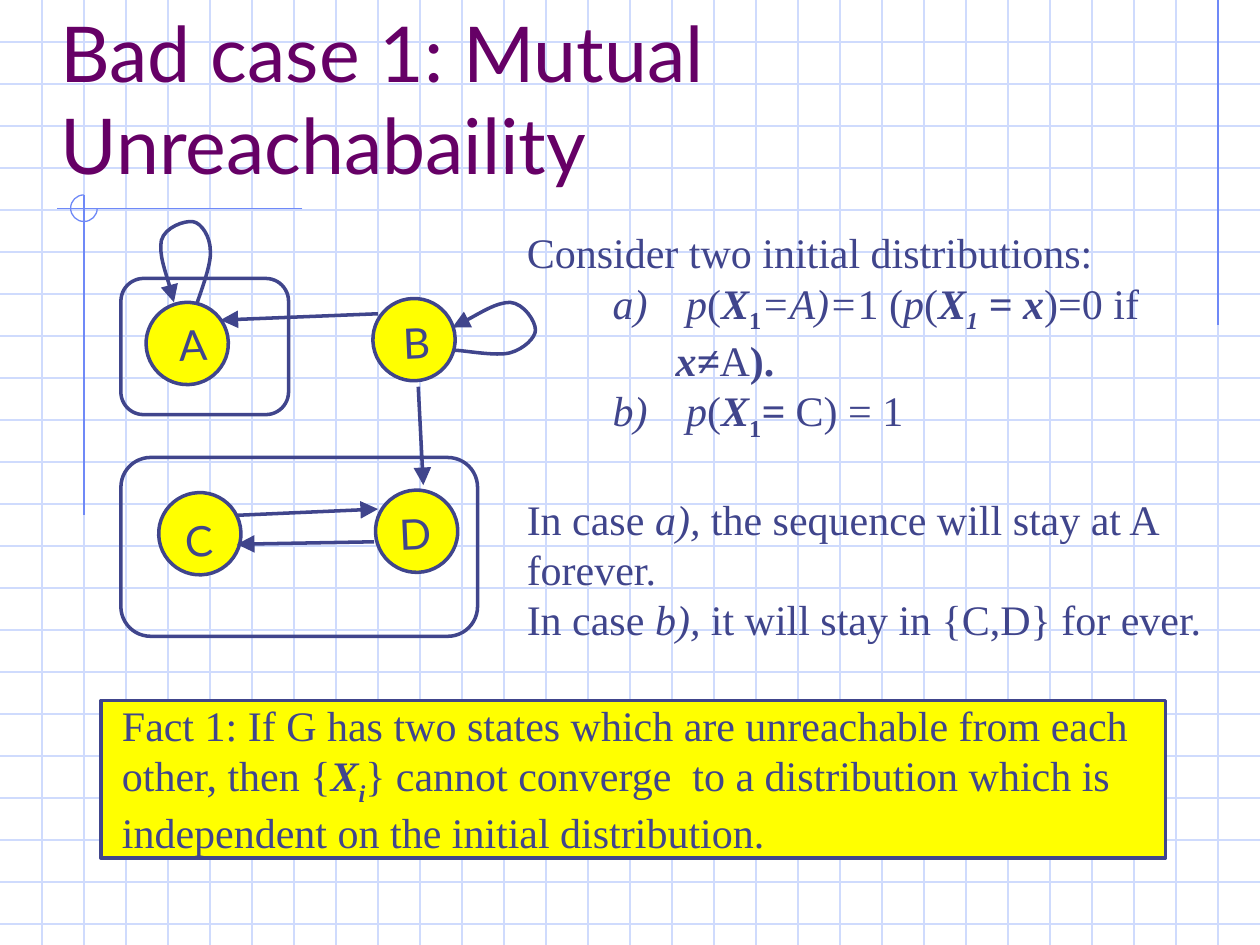
from lxml import etree
from pptx import Presentation
from pptx.dml.color import RGBColor
from pptx.enum.shapes import MSO_CONNECTOR, MSO_SHAPE
from pptx.enum.text import MSO_ANCHOR, MSO_AUTO_SIZE, PP_ALIGN
from pptx.oxml.ns import qn
from pptx.util import Pt

STRAIGHT = MSO_CONNECTOR.STRAIGHT
RECTANGLE, ROUNDED, OVAL = MSO_SHAPE.RECTANGLE, MSO_SHAPE.ROUNDED_RECTANGLE, MSO_SHAPE.OVAL
TOP, BOTTOM = MSO_ANCHOR.TOP, MSO_ANCHOR.BOTTOM
LEFT, NO_FIT = PP_ALIGN.LEFT, MSO_AUTO_SIZE.NONE

COLORS = {"grid": "CFDBFD", "guide": "6F89F7", "ink": "40458C",
          "title": "660066", "yellow": "FFFF00"}
SANS, SERIF = "Lato", "Times New Roman"
WIDTH, HEIGHT, GRID_STEP = 720, 540, 24
TILT = 357.5

TITLE = "Bad case 1: Mutual Unreachabaility"
TITLE_BOX = (27.4, 22.3, 662.4, 90)

# Run styles: b = bold, i = italic, _ = subscript
FACT = [("Fact 1: If G has two states which are unreachable from each other, then {", ""),
        ("X", "bi"), ("i", "bi_"),
        ("} cannot converge  to a distribution which is independent on the initial "
         "distribution.", "")]
FACT_PANEL = (57.6, 400.3, 608.4, 90)
FACT_BOX = (62.6, 396, 639.4, 98)

CASES_BOX = (293.8, 126, 414, 274.3)
CASES = [
    {"runs": [("Consider two initial distributions:", "")]},
    {"item": True,
     "runs": [(" p", "i"), ("(", ""), ("X", "bi"), ("1", "b_"), ("=A)=", "i"), ("1 (", ""),
              ("p", "i"), ("(", ""), ("X", "bi"), ("1", "bi_"), (" = x", "bi"),
              (")=0 if ", ""), ("x≠", "bi"), ("A", ""), (").", "b")]},
    {"item": True,
     "runs": [(" p", "i"), ("(", ""), ("X", "bi"), ("1", "b_"), ("= ", "bi"), ("C) = 1", "")]},
    {"before": 29,
     "runs": [("In case ", ""), ("a),", "i"), (" the sequence will stay at A forever.", "")]},
    {"runs": [("In case ", ""), ("b),", "i"), (" it will stay in {C,D} for ever.", "")]},
]

STATE_SIZE = 47
STATES = [(83.5, 172.8), (213.1, 170.6), (90.7, 281.5), (214.6, 280.1)]
STATE_LABELS = [("A", 95, 178.6, 29.5), ("B", 223.2, 177.8, 29.5),
                ("C", 98.6, 290.9, 29.5), ("D", 221, 286.6, 31.7)]
TRANSITIONS = [(213.8, 309.6, 135.4, 311), (134.6, 294.5, 216, 290.9),
               (239, 221, 241.9, 277.2), (216, 179.3, 126, 182.9)]
SELF_LOOPS = [
    [(259.9, 200.2), (265, 200.2), (283.7, 203.8), (291.6, 201.6), (299.5, 199.4),
     (306, 193), (306, 188.6), (306, 183.6), (299.5, 173.5), (291.6, 172.8),
     (283.7, 172.8), (265, 184.3), (258.5, 187.2)],
    [(112.3, 174.2), (113.8, 169.2), (121, 151.2), (120.2, 143.3), (120.2, 135.4),
     (115.2, 127.4), (110.2, 126.7), (105.8, 126), (94.3, 129.6), (92.2, 137.5),
     (90.7, 145.4), (97.9, 165.6), (99.4, 172.8)],
]
CLOSED_SETS = [(69.1, 261.4, 203.8, 102.2), (69.1, 159.1, 95.8, 77.8)]

GUIDES = [(696, 0, 696, 185.8), (172.8, 119.2, 32.4, 119.2), (48, 111.6, 48, 294.5)]
GUIDE_ARC = [(48, 111.4), (43.8, 111.4), (40.4, 114.8), (40.4, 119), (40.4, 123.2),
             (43.8, 126.6), (48, 126.6), (52.2, 126.6), (55.6, 123.2), (55.6, 119)]


def rgb(name):
    return RGBColor.from_string(COLORS[name])


def points(values):
    return [Pt(value) for value in values]


def stroke(shape, color, width, arrow):
    shape.line.color.rgb = rgb(color)
    shape.line.width = Pt(width)
    if arrow:
        outline = shape.element.spPr.find(qn("a:ln"))
        etree.SubElement(outline, qn("a:tailEnd"), type="triangle", w="lg", len="lg")


def add_line(shapes, ends, color, width, arrow=False):
    line = shapes.add_connector(STRAIGHT, *points(ends))
    stroke(line, color, width, arrow)
    etree.SubElement(line.element.spPr, qn("a:effectLst"))


def add_curve(shapes, controls, color, width, arrow=False):
    start, *rest = [points(control) for control in controls]
    builder = shapes.build_freeform(*start)
    builder.add_line_segments(rest, close=False)
    curve = builder.convert_to_shape()
    outline = curve.element.find(".//" + qn("a:path"))
    segments = outline.findall(qn("a:lnTo"))
    for first in range(0, len(segments), 3):
        bezier = etree.SubElement(outline, qn("a:cubicBezTo"))
        for segment in segments[first:first + 3]:
            bezier.append(segment[0])
            outline.remove(segment)
    curve.shadow.inherit = False
    curve.fill.background()
    stroke(curve, color, width, arrow)


def add_panel(shapes, kind, box, fill=None):
    panel = shapes.add_shape(kind, *points(box))
    panel.shadow.inherit = False
    if fill:
        panel.fill.solid()
        panel.fill.fore_color.rgb = rgb(fill)
    else:
        panel.fill.background()
    stroke(panel, "ink", 2, False)
    return panel


def place(shape, box):
    shape.left, shape.top, shape.width, shape.height = points(box)


def add_runs(paragraph, runs, font, size, color):
    for text, style in runs:
        run = paragraph.add_run()
        run.text = text
        run.font.name, run.font.size = font, Pt(size)
        run.font.color.rgb = rgb(color)
        run.font.bold, run.font.italic = "b" in style, "i" in style
        if "_" in style:
            run._r.get_or_add_rPr().set("baseline", "-25000")


def set_bullet(paragraph, is_item):
    properties = paragraph._p.get_or_add_pPr()
    properties.set("marL", str(Pt(85 if is_item else 0)))
    properties.set("indent", str(Pt(-36 if is_item else 0)))
    if is_item:
        etree.SubElement(properties, qn("a:buAutoNum"), type="alphaLcParenR")
    else:
        etree.SubElement(properties, qn("a:buNone"))


def fill_cases(body):
    place(body, CASES_BOX)
    frame = body.text_frame
    frame.auto_size, frame.vertical_anchor = NO_FIT, TOP
    for index, case in enumerate(CASES):
        paragraph = frame.add_paragraph() if index else frame.paragraphs[0]
        set_bullet(paragraph, case.get("item", False))
        paragraph.space_before = Pt(case.get("before", 0))
        add_runs(paragraph, case["runs"], SERIF, 24, "ink")


def main():
    """Build the slide on mutually unreachable states of a Markov chain."""
    deck = Presentation()
    deck.slide_width, deck.slide_height = Pt(WIDTH), Pt(HEIGHT)
    slide = deck.slides.add_slide(deck.slide_layouts[1])
    shapes = slide.shapes
    title, body = shapes.title, slide.placeholders[1]

    for y in range(GRID_STEP, HEIGHT, GRID_STEP):
        add_line(shapes, (0, y, WIDTH, y), "grid", 0.75)
    for x in range(GRID_STEP, WIDTH, GRID_STEP):
        add_line(shapes, (x, 0, x, HEIGHT), "grid", 0.75)
    for guide in GUIDES:
        add_line(shapes, guide, "guide", 0.75)
    add_curve(shapes, GUIDE_ARC, "guide", 0.75)

    add_panel(shapes, RECTANGLE, FACT_PANEL, "yellow")

    place(title, TITLE_BOX)
    title.text_frame.auto_size, title.text_frame.vertical_anchor = NO_FIT, BOTTOM
    heading = title.text_frame.paragraphs[0]
    heading.alignment = LEFT
    add_runs(heading, [(TITLE, "")], SANS, 44, "title")
    shapes.element.append(title.element)

    for x, y in STATES:
        add_panel(shapes, OVAL, (x, y, STATE_SIZE, STATE_SIZE), "yellow").rotation = TILT
    for transition in TRANSITIONS:
        add_line(shapes, transition, "ink", 2, arrow=True)
    for loop in SELF_LOOPS:
        add_curve(shapes, loop, "ink", 2, arrow=True)
    for name, x, y, width in STATE_LABELS:
        label = shapes.add_textbox(*points((x, y, width, 36)))
        label.rotation = TILT
        label.text_frame.word_wrap = False
        add_runs(label.text_frame.paragraphs[0], [(name, "")], SANS, 24, "ink")

    fact = shapes.add_textbox(*points(FACT_BOX)).text_frame
    fact.word_wrap = True
    add_runs(fact.paragraphs[0], FACT, SERIF, 24, "ink")

    fill_cases(body)
    shapes.element.append(body.element)
    for closed_set in CLOSED_SETS:
        add_panel(shapes, ROUNDED, closed_set)

    deck.save("out.pptx")


if __name__ == "__main__":
    main()
